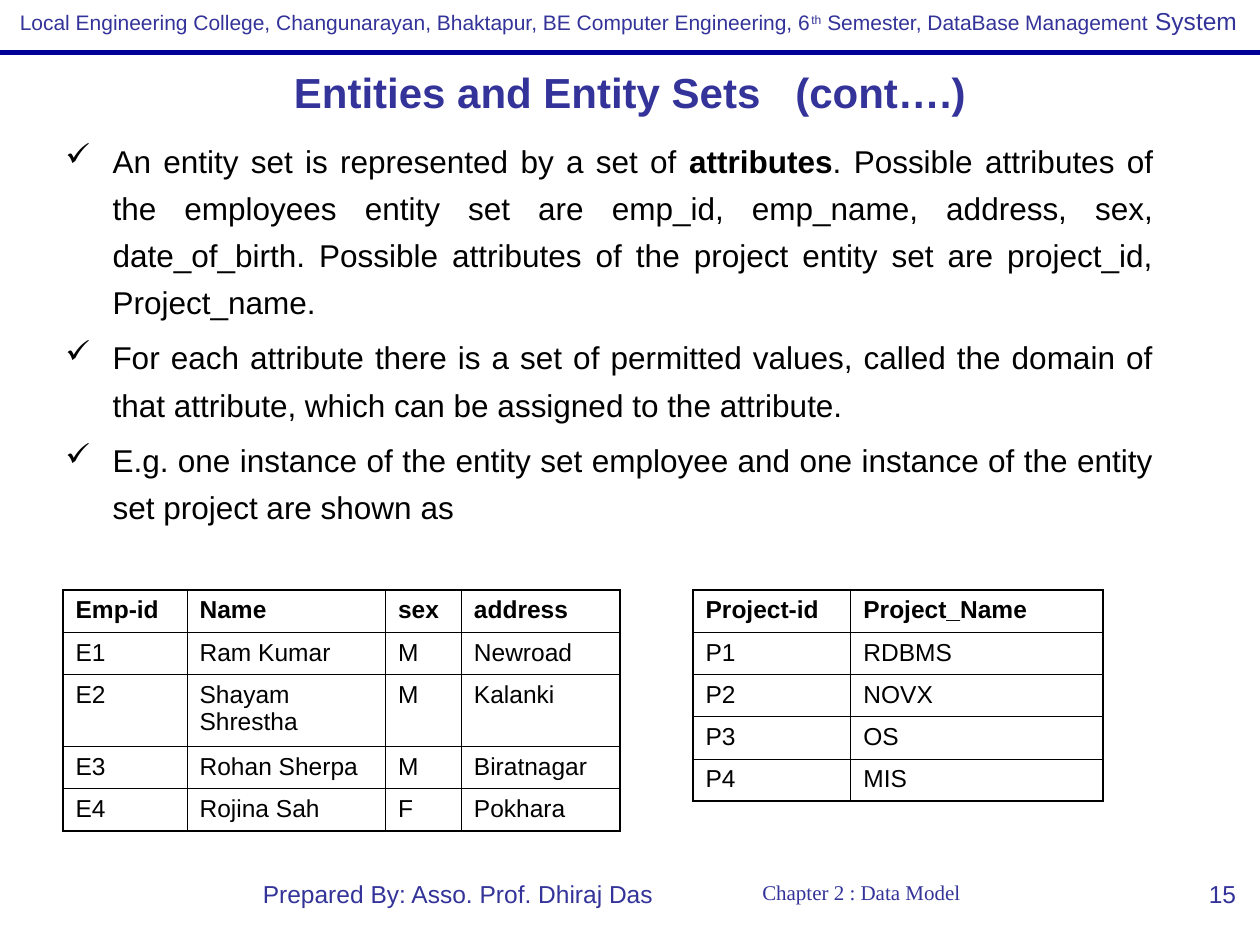
import pptx
import pptx.util
import pptx.oxml
import pptx.oxml.ns
import pptx.dml.color
import pptx.enum.text
import pptx.enum.shapes

Cm = pptx.util.Cm
Pt = pptx.util.Pt
ALIGN = pptx.enum.text.PP_ALIGN
ANCHOR = pptx.enum.text.MSO_ANCHOR
NS = pptx.oxml.ns.nsdecls("a")


def tint(code):
    return pptx.dml.color.RGBColor.from_string(code)


def apply(item, values):
    for name, value in values.items():
        setattr(item, name, value)


def node(xml):
    return pptx.oxml.parse_xml(xml)


class Deck:
    ink = "333399"
    black = "000000"
    rule = "000099"
    face = "Arial"
    thin = 0.45
    thick = 1.08

    def __init__(self, wide, high):
        self.show = pptx.Presentation()
        apply(self.show, {"slide_width": Cm(wide), "slide_height": Cm(high)})
        self.slide = self.show.slides.add_slide(self.show.slide_layouts[6])

    def line(self, x1, y1, x2, y2, width):
        line = self.slide.shapes.add_connector(
            pptx.enum.shapes.MSO_CONNECTOR.STRAIGHT, Cm(x1), Cm(y1), Cm(x2), Cm(y2))
        line.line.color.rgb = tint(self.rule)
        line.line.width = Pt(width)
        line._element.spPr.append(node(f"<a:effectLst {NS}/>"))

    def fill(self, para, runs, size, color, face=None, bold=False, **form):
        apply(para, form)
        for text, extra in runs:
            run = para.add_run()
            run.text = text
            look = {"size": Pt(size), "name": face or self.face, "bold": bold}
            extra = dict(extra)
            raised = extra.pop("raised", None)
            apply(run.font, {**look, **extra})
            run.font.color.rgb = tint(color)
            if raised:
                run._r.get_or_add_rPr().set("baseline", str(raised * 1000))

    def text(self, box, paras, size, color=None, wrap=True, anchor=ANCHOR.TOP,
             bullet=None, **form):
        frame = self.slide.shapes.add_textbox(*map(Cm, box)).text_frame
        apply(frame, {"word_wrap": wrap, "vertical_anchor": anchor})
        for i, runs in enumerate(paras):
            para = frame.add_paragraph() if i else frame.paragraphs[0]
            self.fill(para, runs, size, color or self.ink, **form)
            if bullet:
                self.mark(para, bullet)

    def mark(self, para, sign):
        props = para._p.get_or_add_pPr()
        props.set("marL", str(Cm(0.95)))
        props.set("indent", str(-Cm(0.95)))
        props.append(node(f'<a:buClr {NS}><a:srgbClr val="{self.black}"/></a:buClr>'))
        props.append(node(f'<a:buChar {NS} char="{sign}"/>'))

    def border(self, cell, widths):
        cell.fill.background()
        props = cell._tc.get_or_add_tcPr()
        for i, (side, width) in enumerate(zip("LRTB", widths)):
            props.insert(i, node(
                f'<a:ln{side} {NS} w="{int(Pt(width))}"><a:solidFill>'
                f'<a:srgbClr val="{self.black}"/></a:solidFill></a:ln{side}>'))

    def table(self, left, top, cols, highs, rows):
        grid = self.slide.shapes.add_table(
            len(rows), len(cols), Cm(left), Cm(top), Cm(sum(cols)), Cm(sum(highs))).table
        apply(grid, {"first_row": False, "horz_banding": False})
        for col, wide in zip(grid.columns, cols):
            col.width = Cm(wide)
        for r, row in enumerate(rows):
            grid.rows[r].height = Cm(highs[r])
            for c, word in enumerate(row):
                cell = grid.cell(r, c)
                self.fill(cell.text_frame.paragraphs[0], [(word, {})], 14, self.black,
                          bold=r == 0, space_before=Pt(3.5))
                edges = (c == 0, c == len(cols) - 1, r == 0, r == len(rows) - 1)
                self.border(cell, [self.thick if edge else self.thin for edge in edges])


deck = Deck(25.4, 19.05)
deck.line(0, 1.06, 25.4, 1.06, 3)
deck.text((0.15, 0, 25.17, 0.86), [[
    ("Local Engineering College, Changunarayan, Bhaktapur, BE Computer Engineering, 6", {}),
    ("th", {"raised": 30}),
    (" Semester, DataBase Management", {}),
    (" System", {"size": Pt(14)})]], 12, wrap=False)
deck.text((13.34, 17.6, 8.05, 1.27), [[("Chapter 2 : Data Model", {})]], 12,
          wrap=False, face="Times New Roman", alignment=ALIGN.CENTER)
deck.text((4.93, 17.6, 8.61, 1.32), [[("Prepared By: Asso. Prof. Dhiraj Das", {})]], 14,
          alignment=ALIGN.CENTER)
deck.text((19.25, 17.6, 5.92, 1.32), [[("15", {})]], 14, alignment=ALIGN.RIGHT)
deck.text((1.27, 1.27, 22.86, 1.17), [[("Entities and Entity Sets\u00a0\u00a0 (cont….)", {})]], 24,
          anchor=ANCHOR.MIDDLE, bold=True, alignment=ALIGN.CENTER)

points = [
    [("An entity set is represented by a set of ", {}),
     ("attributes", {"bold": True}),
     (". Possible attributes of the employees entity set are emp_id, emp_name, address, "
      "sex, date_of_birth. Possible attributes of the project entity set are project_id, "
      "Project_name.", {})],
    [("For each attribute there is a set of permitted values, called the domain of that "
      "attribute, which can be assigned to the attribute.", {})],
    [("E.g. one instance of the entity set employee and one instance of the entity set "
      "project are shown as", {})],
]
deck.text((1.07, 2.54, 22.43, 8.36), points, 18, deck.black, bullet="✓",
          alignment=ALIGN.JUSTIFY, line_spacing=1.25, space_before=Pt(4.5))

staff = [
    ("Emp-id", "Name", "sex", "address"),
    ("E1", "Ram Kumar", "M", "Newroad"),
    ("E2", "Shayam Shrestha", "M", "Kalanki"),
    ("E3", "Rohan Sherpa", "M", "Biratnagar"),
    ("E4", "Rojina Sah", "F", "Pokhara"),
]
works = [("Project-id", "Project_Name")] + [
    (f"P{i}", name) for i, name in enumerate(("RDBMS", "NOVX", "OS", "MIS"), 1)]
row = 0.85
deck.table(1.27, 11.9, (2.5, 4, 1.53, 3.2), (row, row, 1.45, row, row), staff)
deck.table(13.97, 11.9, (3.18, 5.08), [row] * 5, works)

deck.show.save("out.pptx")
